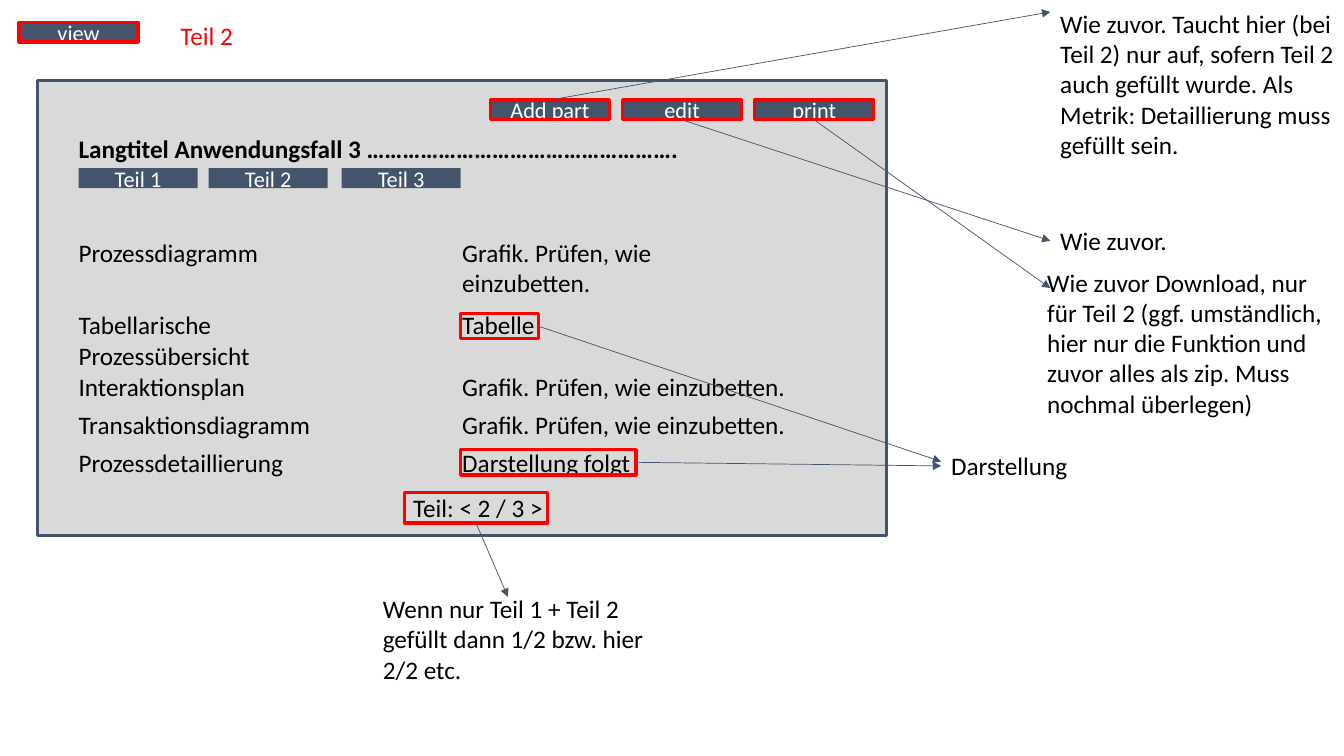
"""Builds the annotated wireframe of the use case view, part 2."""
from dataclasses import dataclass
from typing import Optional

import lxml.etree
import pptx
import pptx.dml.color
import pptx.enum.shapes
import pptx.enum.text
import pptx.oxml.ns
import pptx.util

SLATE, RED, GREY, BLACK, WHITE = "44546A", "FF0000", "D9D9D9", "000000", "FFFFFF"
BUTTON_WIDTH, BUTTON_HEIGHT = 3.0, 0.5
TOP, LEFT, BOTTOM, RIGHT = range(4)
LINE_HEIGHT = 1.02


@dataclass
class Button:
    label: str
    x: float
    y: float
    framed: bool = False


@dataclass
class Row:
    label: str
    value: str
    y: float
    value_width: float = 9.37


@dataclass
class Note:
    text: str
    x: float
    y: float
    height: float = LINE_HEIGHT


@dataclass
class Frame:
    key: str
    x: float
    y: float
    width: float
    height: float = 0.64


@dataclass
class Arrow:
    source: str
    side: int
    end: tuple[float, float] = (0, 0)
    note: Optional[str] = None


VIEW_BUTTONS = [Button("view", 0.48, 0.56, True)]
TOOLBAR = [Button(label, 12.36 + 3.33 * i, 2.52, True)
           for i, label in enumerate(("Add part", "edit", "print"))]
TABS = [Button("Teil 1", 1.98, 4.24), Button("Teil 2", 5.26, 4.24), Button("Teil 3", 8.61, 4.24)]
GRAPHIC = "Grafik. Prüfen, wie einzubetten."
ROWS = [
    Row("Prozessdiagramm", GRAPHIC, 5.85, 8.38),
    Row("Tabellarische Prozessübersicht", "Tabelle", 7.68),
    Row("Interaktionsplan", GRAPHIC, 9.22),
    Row("Transaktionsdiagramm", GRAPHIC, 10.19),
    Row("Prozessdetaillierung", "Darstellung folgt", 11.14),
]
NOTES = {
    "add": Note("Wie zuvor. Taucht hier (bei Teil 2) nur auf, sofern Teil 2 auch gefüllt wurde. "
                "Als Metrik: Detaillierung muss gefüllt sein.", 26.47, 0.08, 4.11),
    "edit": Note("Wie zuvor.", 26.47, 5.56),
    "print": Note("Wie zuvor Download, nur für Teil 2 (ggf. umständlich, hier nur die Funktion "
                  "und zuvor alles als zip. Muss nochmal überlegen)", 26.14, 6.6, 4.11),
    "display": Note("Darstellung", 23.72, 11.23),
    "pager": Note("Wenn nur Teil 1 + Teil 2 gefüllt dann 1/2 bzw. hier 2/2 etc.", 9.4, 14.83, 2.57),
}
FRAMES = [
    Frame("pager", 10.19, 12.42, 3.61, 0.76),
    Frame("table", 11.61, 7.9, 1.96),
    Frame("detail", 11.61, 11.33, 4.42),
]
ARROWS = [
    Arrow("Add part", TOP, end=(26.47, 0.3)),
    Arrow("edit", BOTTOM, note="edit"),
    Arrow("print", BOTTOM, end=(26.47, 7.26)),
    Arrow("pager", BOTTOM, end=(12.8, 15.04)),
    Arrow("table", RIGHT, end=(23.72, 11.63)),
    Arrow("detail", RIGHT, note="display"),
]


def rgb(value: str) -> pptx.dml.color.RGBColor:
    """Turn a hex string into a colour."""
    return pptx.dml.color.RGBColor.from_string(value)


def lengths(*values: float) -> list[pptx.util.Length]:
    """Turn centimetres into slide lengths."""
    return [pptx.util.Cm(value) for value in values]


def write(shape, text: str, *, size: float = 18, color: str = BLACK, bold: bool = False,
          wrap: bool = True, align: str = "LEFT", anchor: str = "TOP") -> None:
    """Put formatted text into a shape."""
    frame = shape.text_frame
    frame.auto_size = pptx.enum.text.MSO_AUTO_SIZE.NONE
    frame.word_wrap = wrap
    frame.vertical_anchor = pptx.enum.text.MSO_ANCHOR[anchor]
    paragraph = frame.paragraphs[0]
    paragraph.alignment = pptx.enum.text.PP_ALIGN[align]
    run = paragraph.add_run()
    run.text = text
    run.font.name = "Calibri"
    run.font.size = pptx.util.Pt(size)
    run.font.bold = bold
    run.font.color.rgb = rgb(color)


def add_text(slide, text: str, x: float, y: float, width: float,
             height: float = LINE_HEIGHT, **text_format):
    """Add a text box."""
    box = slide.shapes.add_textbox(*lengths(x, y, width, height))
    write(box, text, **text_format)
    return box


def add_box(slide, x: float, y: float, width: float, height: float,
            fill: Optional[str] = None, line: Optional[str] = None):
    """Add a plain rectangle."""
    box = slide.shapes.add_shape(pptx.enum.shapes.MSO_SHAPE.RECTANGLE,
                                 *lengths(x, y, width, height))
    box.shadow.inherit = False
    if fill:
        box.fill.solid()
        box.fill.fore_color.rgb = rgb(fill)
    else:
        box.fill.background()
    if line:
        box.line.color.rgb = rgb(line)
        box.line.width = pptx.util.Pt(2.25)
    else:
        box.line.fill.background()
    return box


def add_button(slide, button: Button):
    """Add a button with its label and optional red frame."""
    box = add_box(slide, button.x, button.y, BUTTON_WIDTH, BUTTON_HEIGHT, fill=SLATE)
    write(box, button.label, size=16, color=WHITE, align="CENTER", anchor="MIDDLE")
    if button.framed:
        add_box(slide, button.x, button.y, BUTTON_WIDTH, BUTTON_HEIGHT, line=RED)
    return box


def add_arrow(slide, arrow: Arrow, sources: dict, notes: dict) -> None:
    """Lead an arrow from a source shape to its note."""
    connector = slide.shapes.add_connector(pptx.enum.shapes.MSO_CONNECTOR.STRAIGHT,
                                           *lengths(0, 0, *arrow.end))
    connector.begin_connect(sources[arrow.source], arrow.side)
    if arrow.note:
        connector.end_connect(notes[arrow.note], LEFT)
    connector.line.color.rgb = rgb(SLATE)
    connector.line.width = pptx.util.Pt(0.5)
    qn = pptx.oxml.ns.qn
    lxml.etree.SubElement(connector.line._get_or_add_ln(), qn("a:tailEnd"), type="triangle")
    lxml.etree.SubElement(connector._element.spPr, qn("a:effectLst"))


def main() -> None:
    """Build and save the slide."""
    deck = pptx.Presentation()
    deck.slide_width, deck.slide_height = lengths(33.87, 19.05)
    slide = deck.slides.add_slide(deck.slide_layouts[5])

    title = slide.shapes.title
    title.left, title.top, title.width, title.height = lengths(4.29, 0.38, 1.85, LINE_HEIGHT)
    write(title, "Teil 2", color=RED, wrap=False)

    add_box(slide, 0.94, 2.03, 21.41, 11.46, fill=GREY, line=SLATE)
    add_text(slide, "Langtitel Anwendungsfall 3 …………………………………………….",
             1.73, 3.23, 18.49, bold=True)
    sources = {button.label: add_button(slide, button)
               for button in VIEW_BUTTONS + TOOLBAR + TABS}
    for row in ROWS:
        add_text(slide, row.label, 1.73, row.y, 6.38)
        add_text(slide, row.value, 11.4, row.y, row.value_width)
    add_text(slide, "Teil: < 2 / 3 >", 10.16, 12.29, 3.84, wrap=False)

    for frame in FRAMES:
        sources[frame.key] = add_box(slide, frame.x, frame.y, frame.width, frame.height, line=RED)
    notes = {key: add_text(slide, note.text, note.x, note.y, 7.57, note.height)
             for key, note in NOTES.items()}
    for arrow in ARROWS:
        add_arrow(slide, arrow, sources, notes)
    deck.save("out.pptx")


if __name__ == "__main__":
    main()
